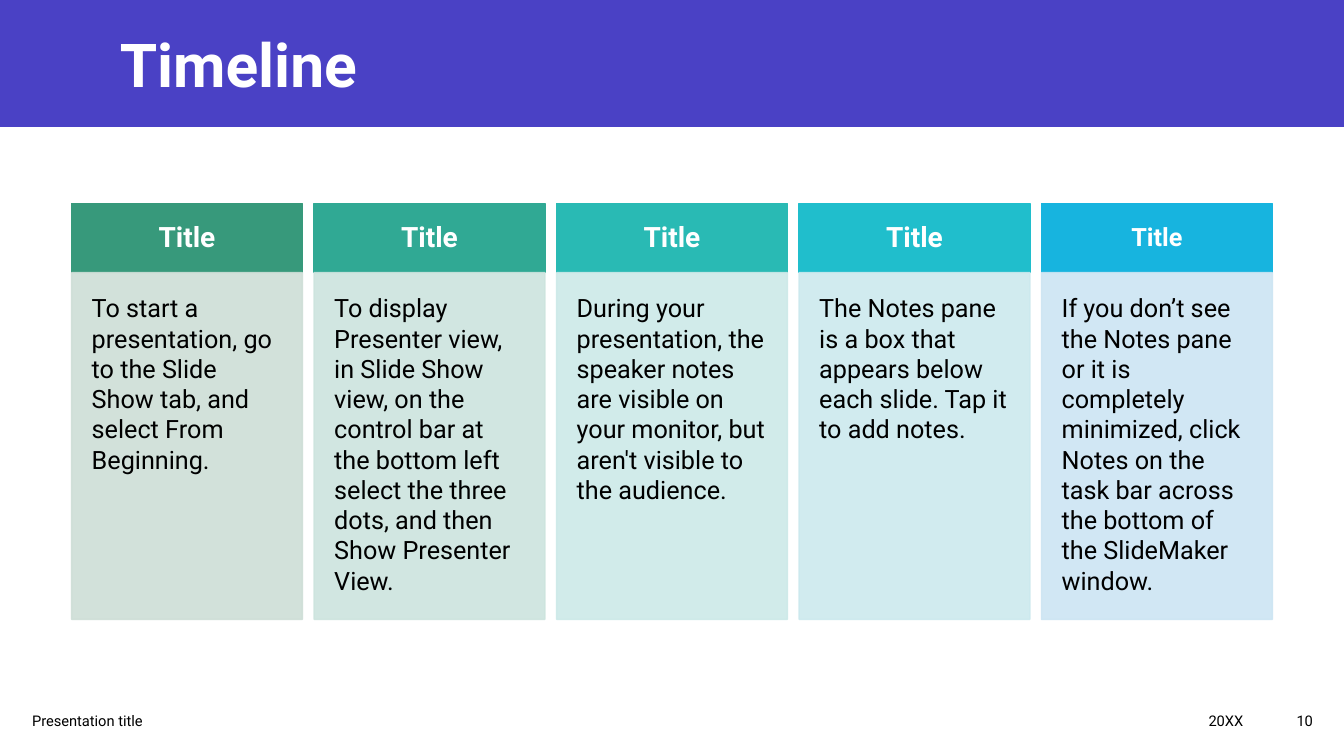
from lxml import etree
from pptx import Presentation
from pptx.dml.color import RGBColor
from pptx.enum.shapes import MSO_SHAPE
from pptx.enum.text import MSO_ANCHOR, PP_ALIGN
from pptx.oxml.ns import qn
from pptx.util import Inches, Pt

TITLE = "Timeline"
STAGES = [
    ("Title", 20, "37997B", "CEDED7",
     "To start a presentation, go to the Slide Show tab, and select From Beginning."),
    ("Title", 20, "30A994", "CDE4DE",
     "To display Presenter view, in Slide Show view, on the control bar at the bottom left "
     "select the three dots, and then Show Presenter View."),
    ("Title", 20, "29BAB4", "CCE9E8",
     "During your presentation, the speaker notes are visible on your monitor, "
     "but aren't visible to the audience."),
    ("Title", 20, "20BECC", "CCE9EE",
     "The Notes pane is a box that appears below each slide. Tap it to add notes."),
    ("Title", 18, "17B4DF", "CCE5F3",
     "If you don’t see the Notes pane or it is completely minimized, click Notes on the "
     "task bar across the bottom of the SlideMaker window."),
]
FOOTER = [
    ("Presentation title", 0.22, 5.29, PP_ALIGN.LEFT),
    ("20XX", 7.67, 4.76, PP_ALIGN.RIGHT),
    ("10", 12.43, 0.69, PP_ALIGN.RIGHT),
]
THEME = {
    "font": "Roboto", "band": "4A41C5", "light": "FFFFFF", "dark": "000000",
    "title": 43.2, "body": 18, "footer": 10.5, "body_opacity": 90,
}
SLIDE_W, SLIDE_H = 13.33, 7.5
BAND_H = 1.26
STAGE_LEFT, STAGE_STEP, STAGE_W = 0.71, 2.405, 2.29
HEAD_TOP, HEAD_H = 2.02, 0.685
BODY_TOP, BODY_H = HEAD_TOP + HEAD_H, 3.44


def set_opacity(fill, color, percent):
    fill.solid()
    fill.fore_color.rgb = RGBColor.from_string(color)
    return percent


def add_panel(slide, box, color, opacity=100):
    panel = slide.shapes.add_shape(MSO_SHAPE.RECTANGLE, *map(Inches, box))
    panel.shadow.inherit = False
    for fill in (panel.fill, panel.line.fill):
        fill.solid()
        fill.fore_color.rgb = RGBColor.from_string(color)
    panel.line.width = Pt(1)
    if opacity < 100:
        for tint in panel.element.spPr.iter(qn("a:srgbClr")):
            etree.SubElement(tint, qn("a:alpha"), val=str(opacity * 1000))
    return panel


def write(shape, text, size, color, align=PP_ALIGN.LEFT, anchor=MSO_ANCHOR.MIDDLE,
          bold=False, inset=None):
    frame = shape.text_frame
    frame.word_wrap = True
    frame.vertical_anchor = anchor
    if inset is not None:
        frame.margin_left = frame.margin_right = Inches(inset)
        frame.margin_top = frame.margin_bottom = Inches(inset)
    paragraph = frame.paragraphs[0]
    paragraph.text = text
    paragraph.alignment = align
    paragraph.font.name = THEME["font"]
    paragraph.font.size = Pt(size)
    paragraph.font.bold = bold
    paragraph.font.color.rgb = RGBColor.from_string(color)
    return paragraph


def add_label(slide, box, *args, **kwargs):
    return write(slide.shapes.add_textbox(*map(Inches, box)), *args, **kwargs)


def main():
    deck = Presentation()
    deck.slide_width, deck.slide_height = Inches(SLIDE_W), Inches(SLIDE_H)
    slide = deck.slides.add_slide(deck.slide_layouts[6])

    band = add_panel(slide, (0, 0, SLIDE_W, BAND_H), THEME["band"])
    band.line.fill.background()
    add_label(slide, (1.09, 0.21, 10.96, 0.83), TITLE, THEME["title"], THEME["light"],
              bold=True)

    for index, (heading, heading_size, head_color, body_color, body) in enumerate(STAGES):
        left = STAGE_LEFT + index * STAGE_STEP
        head_panel = add_panel(slide, (left, HEAD_TOP, STAGE_W, HEAD_H), head_color)
        head_text = write(head_panel, heading, heading_size, THEME["light"],
                          PP_ALIGN.CENTER, bold=True, inset=0.18)
        head_text.line_spacing = 0.9
        body_panel = add_panel(slide, (left, BODY_TOP, STAGE_W, BODY_H), body_color,
                               THEME["body_opacity"])
        write(body_panel, body, THEME["body"], THEME["dark"], anchor=MSO_ANCHOR.TOP,
              inset=0.2)

    for text, left, width, align in FOOTER:
        add_label(slide, (left, 6.95, width, 0.4), text, THEME["footer"], THEME["dark"],
                  align)

    deck.save("out.pptx")


if __name__ == "__main__":
    main()
